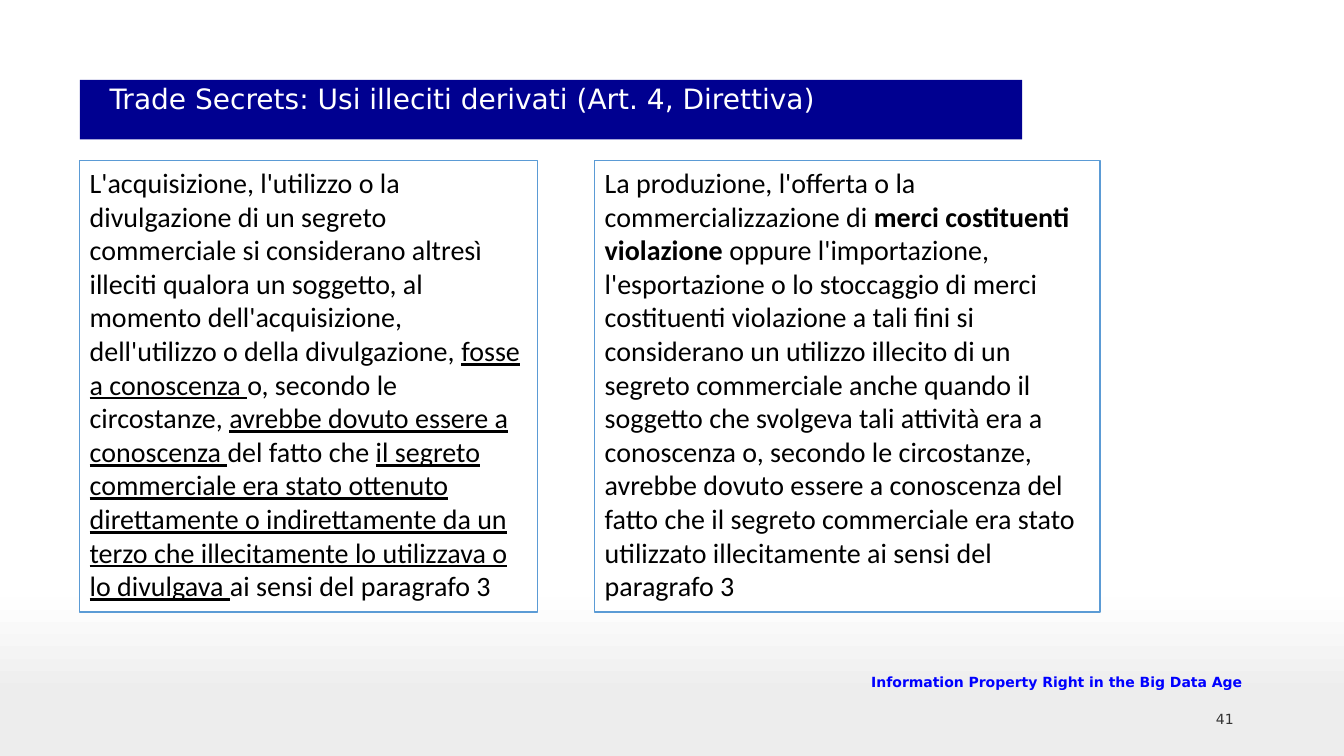
from copy import deepcopy

from pptx import Presentation
from pptx.dml.color import RGBColor
from pptx.enum.shapes import MSO_SHAPE
from pptx.enum.text import MSO_ANCHOR, MSO_AUTO_SIZE, PP_ALIGN
from pptx.oxml.ns import qn
from pptx.util import Cm, Pt

TITLE = "Trade Secrets: Usi illeciti derivati (Art. 4, Direttiva)"
FOOTER = "Information Property Right in the Big Data Age"
NUMBER = "41"
PLAIN, BOLD, UNDERLINE = "plain", "bold", "underline"
ACQUISITION = [
    ("L'acquisizione, l'utilizzo o la divulgazione di un segreto commerciale "
     "si considerano altresì illeciti qualora un soggetto, al momento "
     "dell'acquisizione, dell'utilizzo o della divulgazione, ", PLAIN),
    ("fosse", UNDERLINE),
    (" ", PLAIN),
    ("a conoscenza ", UNDERLINE),
    ("o, secondo le circostanze, ", PLAIN),
    ("avrebbe dovuto essere a conoscenza ", UNDERLINE),
    ("del fatto che ", PLAIN),
    ("il segreto commerciale era stato ottenuto direttamente o indirettamente "
     "da un terzo che illecitamente lo utilizzava o lo divulgava ", UNDERLINE),
    ("ai sensi del paragrafo 3", PLAIN),
]
PRODUCTION = [
    ("La produzione, l'offerta o la commercializzazione di ", PLAIN),
    ("merci costituenti violazione ", BOLD),
    ("oppure l'importazione, l'esportazione o lo stoccaggio di merci "
     "costituenti violazione a tali fini si considerano un utilizzo illecito "
     "di un segreto commerciale anche quando il soggetto che svolgeva tali "
     "attività era a conoscenza o, secondo le circostanze, avrebbe dovuto "
     "essere a conoscenza del fatto che il segreto commerciale era stato "
     "utilizzato illecitamente ai sensi del paragrafo 3", PLAIN),
]

LEFT = 2.01
PANEL_TOP, PANEL_HEIGHT = 4.04, 11.38
PANELS = [(LEFT, 11.53, ACQUISITION), (14.99, 12.73, PRODUCTION)]

WHITE = RGBColor(0xFF, 0xFF, 0xFF)
BLACK = RGBColor(0, 0, 0)
NAVY = RGBColor(0, 0, 0x90)
BLUE = RGBColor(0, 0, 0xFF)
SKY = RGBColor(0x5B, 0x9B, 0xD5)
GREY = RGBColor(0x33, 0x33, 0x33)
BACKGROUND = [(0, WHITE), (0.79, RGBColor(0xFE, 0xFE, 0xFE)),
              (0.92, RGBColor(0xED, 0xED, 0xED))]
SANS, BODY = "DejaVu Sans", "Calibri"
TOP, MIDDLE = MSO_ANCHOR.TOP, MSO_ANCHOR.MIDDLE
ALIGN_LEFT, ALIGN_RIGHT = PP_ALIGN.LEFT, PP_ALIGN.RIGHT
NO_FIT = MSO_AUTO_SIZE.NONE
RECTANGLE = MSO_SHAPE.RECTANGLE


def paint_background(s):
    fill = s.background.fill
    fill.gradient()
    fill.gradient_angle = 270
    stops = s.element.find(".//" + qn("a:gsLst"))
    stops.append(deepcopy(stops[-1]))
    for stop, (position, color) in zip(fill.gradient_stops, BACKGROUND):
        stop.position = position
        stop.color.rgb = color


def write(sp, runs, font, size, color, align=ALIGN_LEFT, anchor=TOP):
    tf = sp.text_frame
    tf.word_wrap = True
    tf.auto_size = NO_FIT
    tf.vertical_anchor = anchor
    tf.margin_left = tf.margin_right = Cm(0.25)
    tf.margin_top = tf.margin_bottom = Cm(0.13)
    p = tf.paragraphs[0]
    p.alignment = align
    for text, style in runs:
        r = p.add_run()
        r.text = text
        r.font.name = font
        r.font.size = Pt(size)
        r.font.color.rgb = color
        r.font.bold = style == BOLD
        r.font.underline = style == UNDERLINE
    return p


def add_title(s):
    sp = s.shapes.title
    sp.left, sp.top, sp.width, sp.height = Cm(LEFT), Cm(2.01), Cm(23.75), Cm(1.5)
    sp.fill.solid()
    sp.fill.fore_color.rgb = NAVY
    p = write(sp, [(TITLE, PLAIN)], SANS, 20, WHITE)
    p.line_spacing = 0.9
    p.space_before = Pt(0)
    p._p.get_or_add_pPr().set("marL", str(Cm(0.5)))


def add_panel(s, left, width, runs):
    sp = s.shapes.add_shape(RECTANGLE, Cm(left), Cm(PANEL_TOP),
                            Cm(width), Cm(PANEL_HEIGHT))
    sp.shadow.inherit = False
    sp.fill.solid()
    sp.fill.fore_color.rgb = WHITE
    sp.line.color.rgb = SKY
    sp.line.width = Pt(1)
    write(sp, runs, BODY, 20, BLACK)


def add_label(s, box, text, color, style, anchor):
    sp = s.shapes.add_textbox(*map(Cm, box))
    write(sp, [(text, style)], SANS, 10, color, ALIGN_RIGHT, anchor)


def main():
    """Build the slide on unlawful derived uses of trade secrets."""
    prs = Presentation()
    prs.slide_width, prs.slide_height = Cm(33.87), Cm(19.05)
    s = prs.slides.add_slide(prs.slide_layouts[5])
    paint_background(s)
    add_title(s)
    add_label(s, (24.28, 17.78, 7.06, 0.84), NUMBER, GREY, PLAIN, TOP)
    add_label(s, (20.07, 16.71, 11.48, 0.97), FOOTER, BLUE, BOLD, MIDDLE)
    for left, width, runs in PANELS:
        add_panel(s, left, width, runs)
    prs.save("out.pptx")


if __name__ == "__main__":
    main()
